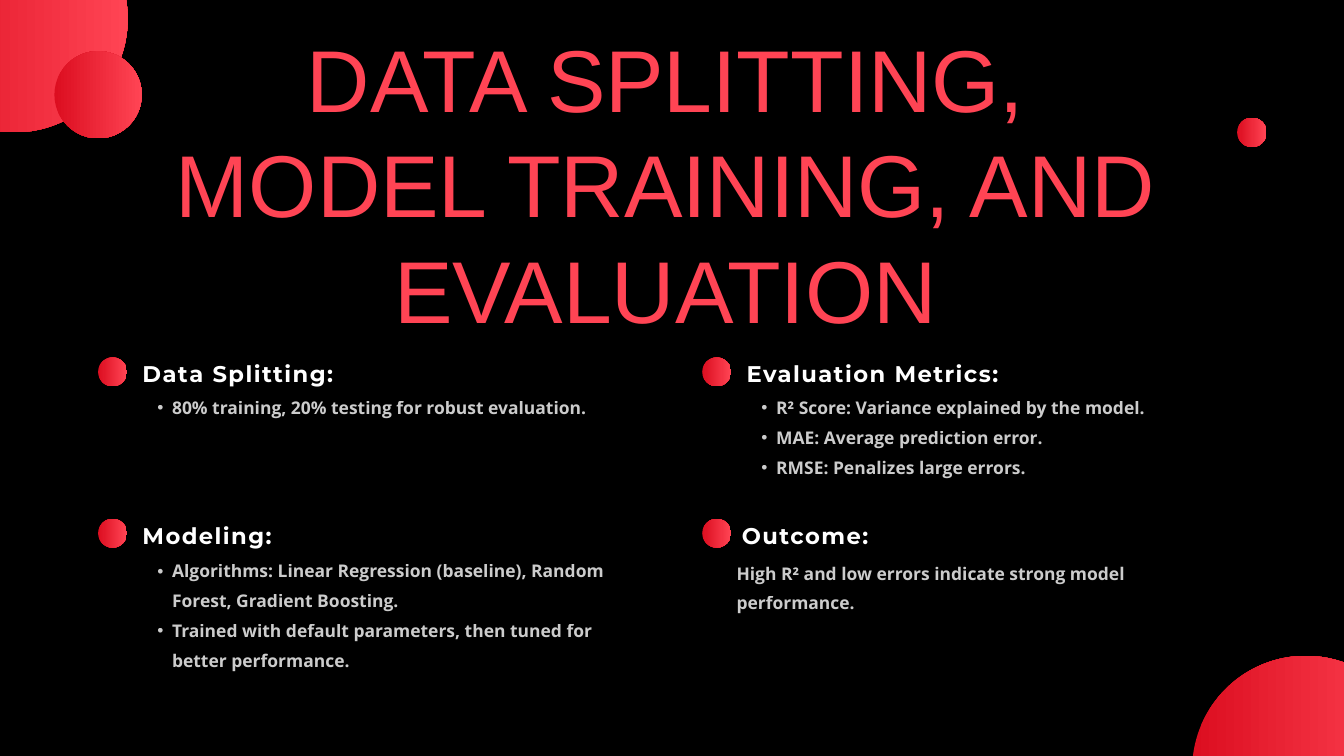
from lxml import etree
from pptx import Presentation
from pptx.dml.color import RGBColor
from pptx.enum.shapes import MSO_SHAPE
from pptx.enum.text import PP_ALIGN
from pptx.oxml.ns import qn
from pptx.util import Inches, Pt

OVAL = MSO_SHAPE.OVAL
LEFT, CENTER = PP_ALIGN.LEFT, PP_ALIGN.CENTER
BLACK = RGBColor(0x00, 0x00, 0x00)
WHITE = RGBColor(0xFF, 0xFF, 0xFF)
CORAL = RGBColor(0xFF, 0x44, 0x54)
CRIMSON = RGBColor(0xDC, 0x0E, 0x20)

TITLE = {"name": "Arial", "size": Pt(94)}
HEADING = {"name": "Montserrat", "size": Pt(24.3), "bold": True}
BODY = {"name": "Open Sans", "size": Pt(18.7), "bold": True}

prs = Presentation()
prs.slide_width, prs.slide_height = Inches(20), Inches(11.25)
COL = prs.slide_width / 20
ROW = prs.slide_height / 11.25
s = prs.slides.add_slide(prs.slide_layouts[6])
s.background.fill.solid()
s.background.fill.fore_color.rgb = BLACK


def grid(x, y, w, h):
    return [round(v) for v in (x * COL, y * ROW, w * COL, h * ROW)]


def add_text(box, lines, fmt, color, spacing, align=LEFT, bullet=False, tracking=0, alpha=100):
    tf = s.shapes.add_textbox(*grid(*box)).text_frame
    for side in ("left", "top", "right", "bottom"):
        setattr(tf, f"margin_{side}", 0)
    tf.word_wrap = True
    for i, line in enumerate(lines):
        p = tf.add_paragraph() if i else tf.paragraphs[0]
        p.alignment, p.line_spacing = align, Pt(spacing)
        if bullet:
            p.level = 1
            pPr = p._p.get_or_add_pPr()
            pPr.set("marL", str(round(0.44 * COL)))
            pPr.set("indent", str(round(-0.22 * COL)))
            etree.SubElement(pPr, qn("a:buFont")).set("typeface", "Arial")
            etree.SubElement(pPr, qn("a:buChar")).set("char", "•")
        r = p.add_run()
        r.text = line
        for key, value in fmt.items():
            setattr(r.font, key, value)
        r.font.color.rgb = color
        rPr = r._r.get_or_add_rPr()
        if tracking:
            rPr.set("spc", str(tracking))
        if alpha < 100:
            clr = rPr.find(".//" + qn("a:srgbClr"))
            etree.SubElement(clr, qn("a:alpha")).set("val", str(alpha * 1000))


corner_circles = [(17.74, 9.76, 3.38), (18.41, 1.75, 0.44), (-1.48, -1.41, 3.38), (0.81, 0.76, 1.3)]
markers = [(x, y, 0.43) for y in (5.32, 7.72) for x in (1.46, 10.45)]
for x, y, d in corner_circles + markers:
    sp = s.shapes.add_shape(OVAL, *grid(x, y, d, d))
    sp.shadow.inherit = False
    sp.line.fill.background()
    sp.fill.gradient()
    sp.fill.gradient_angle = 0
    for stop, position, color in zip(sp.fill.gradient_stops, (0, 1), (CRIMSON, CORAL)):
        stop.position = position
        stop.color.rgb = color

add_text((2.12, 0.37, 15.57, 3.14), ["DATA SPLITTING, MODEL TRAINING, AND EVALUATION"],
         TITLE, CORAL, 112.8, align=CENTER)

sections = [
    ("Data Splitting:", 2.12, 5.29, 2.12, 5.78, True,
     ["80% training, 20% testing for robust evaluation."]),
    ("Evaluation Metrics:", 11.11, 5.29, 11.11, 5.78, True,
     ["R² Score: Variance explained by the model.",
      "MAE: Average prediction error.",
      "RMSE: Penalizes large errors."]),
    ("Modeling:", 2.12, 7.69, 2.12, 8.21, True,
     ["Algorithms: Linear Regression (baseline), Random Forest, Gradient Boosting.",
      "Trained with default parameters, then tuned for better performance."]),
    ("Outcome:", 11.04, 7.69, 10.96, 8.24, False,
     ["High R² and low errors indicate strong model performance."]),
]
for heading, hx, hy, bx, by, bullet, lines in sections:
    add_text((hx, hy, 7.31, 0.45), [heading], HEADING, WHITE, 34.1, tracking=160)
    add_text((bx, by, 7.31, 0.44 * (len(lines) + 1)), lines, BODY, WHITE, 31.9,
             bullet=bullet, alpha=80)

prs.save("out.pptx")
